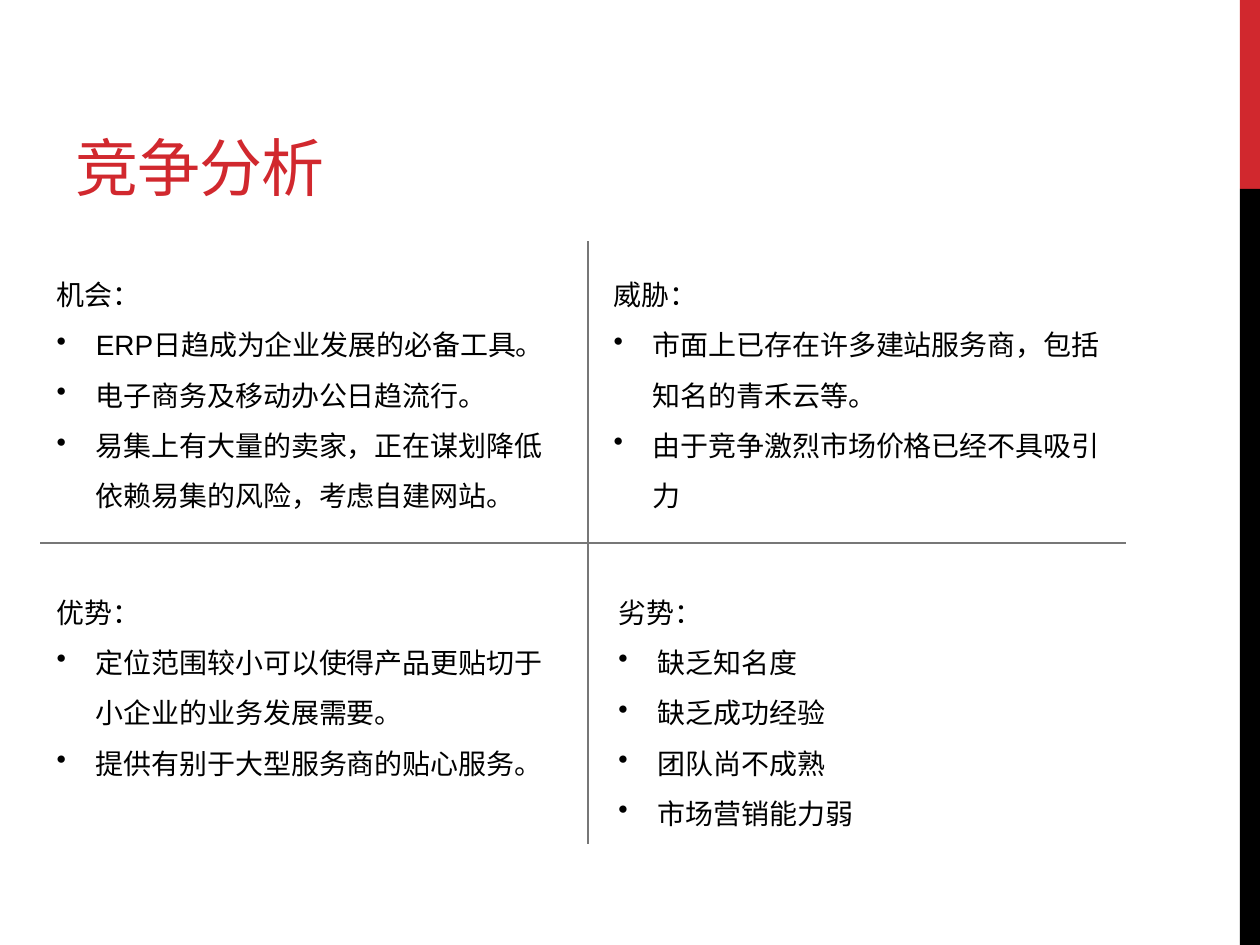
from lxml import etree
from pptx import Presentation
from pptx.dml.color import RGBColor
from pptx.enum.shapes import MSO_CONNECTOR, MSO_SHAPE
from pptx.enum.text import MSO_ANCHOR, MSO_AUTO_SIZE, PP_ALIGN
from pptx.oxml.ns import qn
from pptx.util import Pt

RECTANGLE = MSO_SHAPE.RECTANGLE
STRAIGHT = MSO_CONNECTOR.STRAIGHT
BOTTOM = MSO_ANCHOR.BOTTOM
LEFT = PP_ALIGN.LEFT
NO_FIT, GROW = MSO_AUTO_SIZE.NONE, MSO_AUTO_SIZE.SHAPE_TO_FIT_TEXT

COLOURS = {"red": "D1282E", "black": "000000", "grey": "777777"}
WIDTH, HEIGHT = 720, 540
TITLE_ONLY = 5
BULLET_INDENT = 22.5


class SwotSlide:
    """Holds the style and the slide being built."""

    title_font, body_font = "Montserrat", "Arial"
    title_size, body_size = 36, 16

    def __init__(self, slide):
        self.slide = slide

    def colour(self, name):
        """Return a named colour."""
        return RGBColor.from_string(COLOURS[name])

    def style(self, paragraph, font_name, size, colour):
        """Format a whole paragraph."""
        font = paragraph.font
        font.name, font.size = font_name, Pt(size)
        font.color.rgb = self.colour(colour)

    def title(self, text, left, top, width, height):
        """Place and format the title placeholder."""
        title = self.slide.shapes.title
        title.left, title.top = Pt(left), Pt(top)
        title.width, title.height = Pt(width), Pt(height)
        frame = title.text_frame
        frame.text = text
        frame.vertical_anchor, frame.auto_size = BOTTOM, NO_FIT
        heading = frame.paragraphs[0]
        heading.alignment = LEFT
        self.style(heading, self.title_font, self.title_size, "red")
        heading.runs[0]._r.get_or_add_rPr().set("spc", "-60")

    def band(self, left, top, width, height, colour):
        """Draw a plain filled rectangle."""
        band = self.slide.shapes.add_shape(
            RECTANGLE, Pt(left), Pt(top), Pt(width), Pt(height))
        band.shadow.inherit = False
        band.fill.solid()
        band.fill.fore_color.rgb = self.colour(colour)
        band.line.fill.background()

    def divider(self, x1, y1, x2, y2):
        """Draw a thin grey line."""
        divider = self.slide.shapes.add_connector(
            STRAIGHT, Pt(x1), Pt(y1), Pt(x2), Pt(y2))
        divider.line.color.rgb = self.colour("grey")
        divider.line.width = Pt(1)
        etree.SubElement(divider._element.spPr, qn("a:effectLst"))

    def quadrant(self, left, top, width, height, heading, points):
        """Write a heading with bulleted points below it."""
        box = self.slide.shapes.add_textbox(
            Pt(left), Pt(top), Pt(width), Pt(height))
        frame = box.text_frame
        frame.text = "\n".join([heading, *points])
        frame.word_wrap, frame.auto_size = True, GROW
        for paragraph in frame.paragraphs:
            paragraph.line_spacing = 1.5
            self.style(paragraph, self.body_font, self.body_size, "black")
        for point in frame.paragraphs[1:]:
            self.bullet(point)

    def bullet(self, paragraph):
        """Give a paragraph a hanging bullet."""
        properties = paragraph._p.get_or_add_pPr()
        properties.set("marL", str(Pt(BULLET_INDENT)))
        properties.set("indent", str(-Pt(BULLET_INDENT)))
        bullet = etree.Element(qn("a:buChar"), char="•")
        properties.find(qn("a:defRPr")).addprevious(bullet)


QUADRANTS = [
    (343.5, 145.5, 152.5, "威胁：", [
        "市面上已存在许多建站服务商，包括知名的青禾云等。",
        "由于竞争激烈市场价格已经不具吸引力"]),
    (25.2, 145.5, 181.5, "机会：", [
        "ERP日趋成为企业发展的必备工具。",
        "电子商务及移动办公日趋流行。",
        "易集上有大量的卖家，正在谋划降低依赖易集的风险，考虑自建网站。"]),
    (25.2, 327, 124, "优势：", [
        "定位范围较小可以使得产品更贴切于小企业的业务发展需要。",
        "提供有别于大型服务商的贴心服务。"]),
    (346.3, 327, 152.5, "劣势：", [
        "缺乏知名度", "缺乏成功经验", "团队尚不成熟", "市场营销能力弱"]),
]


def main():
    """Build and save the slide."""
    deck = Presentation()
    deck.slide_width, deck.slide_height = Pt(WIDTH), Pt(HEIGHT)
    swot = SwotSlide(deck.slides.add_slide(deck.slide_layouts[TITLE_ONLY]))

    band_left, band_split = 708.5, 108
    band_width = WIDTH - band_left
    swot.band(band_left, 0, band_width, band_split, "red")
    swot.band(band_left, band_split, band_width, HEIGHT - band_split, "black")

    swot.title("竞争分析", 36, 12, 456, 108)
    swot.divider(23, 310.3, 643.5, 310.3)
    swot.divider(336, 138, 336, 482.3)
    for left, top, height, heading, points in QUADRANTS:
        swot.quadrant(left, top, 297.5, height, heading, points)

    deck.save("out.pptx")


main()
